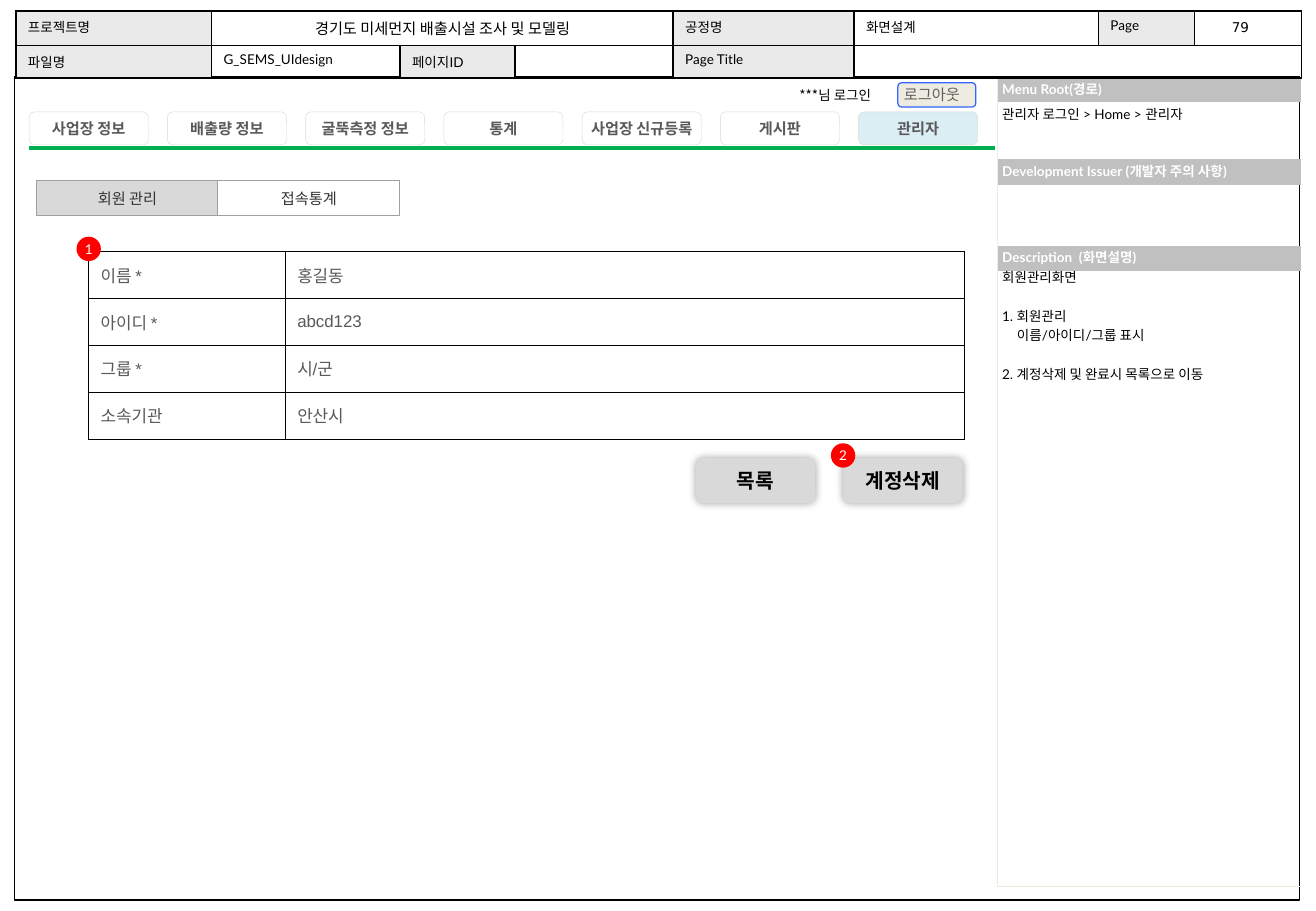
from lxml import etree
from pptx import Presentation
from pptx.dml.color import RGBColor
from pptx.enum.shapes import MSO_CONNECTOR, MSO_SHAPE
from pptx.enum.text import MSO_ANCHOR, PP_ALIGN
from pptx.oxml.ns import qn
from pptx.util import Cm, Pt

RECT, ROUND, OVAL = MSO_SHAPE.RECTANGLE, MSO_SHAPE.ROUNDED_RECTANGLE, MSO_SHAPE.OVAL
LEFT, MID = PP_ALIGN.LEFT, PP_ALIGN.CENTER
TOP, CENTER = MSO_ANCHOR.TOP, MSO_ANCHOR.MIDDLE

# Content
HEADER = [
    ["프로젝트명", "경기도 미세먼지 배출시설 조사 및 모델링", "", "", "공정명", "화면설계", "Page", ""],
    ["파일명", "G_SEMS_UIdesign", "페이지ID", "", "Page Title", "", "", ""],
]
LABELS = {"프로젝트명", "공정명", "Page", "파일명", "페이지ID", "Page Title"}
SIDE = ["Menu Root(경로)", "", "Development Issuer (개발자 주의 사항)", "",
        "Description  (화면설명)", ""]
MENU = ["사업장 정보", "배출량 정보", "굴뚝측정 정보", "통계", "사업장 신규등록", "게시판", "관리자"]
ACTIVE = "관리자"
TABS = [("회원 관리", "tab"), ("접속통계", "white")]
MEMBER = [["이름 *", "홍길동"], ["아이디 *", "abcd123"], ["그룹 *", "시/군"], ["소속기관", "안산시"]]
BUTTONS = ["목록", "계정삭제"]
BADGES = [("1", 1.6, 4.95), ("2", 17.37, 9.27)]
ROUTE = "관리자 로그인 > Home > 관리자"
# Text, left indent in cm, space before in points
NOTES = [("회원관리화면", 0, 0), ("1. 회원관리", 0, 11.5), ("이름/아이디/그룹 표시", 0.31, 0),
         ("2. 계정삭제 및 완료시 목록으로 이동", 0, 11.5)]

COLORS = {
    "black": "000000", "white": "FFFFFF", "label": "EAEAEA", "band": "C0C0C0",
    "cream": "EEECE1", "blue": "3366FF", "green": "00B050", "active": "DBEEF4",
    "tab": "D9D9D9", "edge": "A0A0A0", "text": "595959", "logout": "5F5F5F",
    "dark": "333333", "red": "FF0000",
}
NO_STYLE = "{2D5ABB26-0587-4C30-8999-92F81FD0307C}"

prs = Presentation()
prs.slide_width, prs.slide_height = Cm(27.51), Cm(19.05)
slide = prs.slides.add_slide(prs.slide_layouts[6])
shapes = slide.shapes


def color(name):
    return RGBColor.from_string(COLORS[name])


def paint(fill, name):
    if name:
        fill.solid()
        fill.fore_color.rgb = color(name)
    else:
        fill.background()


def style(para, size=8, ink="black", face="Lato", bold=False, align=LEFT, space=None):
    para.alignment = align
    if space:
        para.line_spacing = space
    font = para.font
    font.size, font.name, font.bold = Pt(size), face, bold
    font.color.rgb = color(ink)


def inset(frame, size):
    frame.margin_left = frame.margin_right = Cm(size)
    frame.margin_top = frame.margin_bottom = Cm(size)


def add_box(kind, box, fill=None, line=None, width=0.25, text="", pad=0.1, wrap=True, **look):
    shape = shapes.add_shape(kind, *map(Cm, box))
    shape.shadow.inherit = False
    paint(shape.fill, fill)
    paint(shape.line.fill, line)
    if line:
        shape.line.width = Pt(width)
    if text:
        frame = shape.text_frame
        inset(frame, pad)
        frame.word_wrap, frame.vertical_anchor = wrap, CENTER
        frame.text = text
        style(frame.paragraphs[0], **look)
    return shape


def add_text(box, lines, wrap=True, pad=0.1, **look):
    frame = shapes.add_textbox(*map(Cm, box)).text_frame
    frame.word_wrap = wrap
    if pad is not None:
        inset(frame, pad)
    for i, (text, indent, before) in enumerate(lines):
        para = frame.add_paragraph() if i else frame.paragraphs[0]
        para.text = text
        if indent:
            para._p.get_or_add_pPr().set("marL", str(Cm(indent)))
        if before:
            para.space_before = Pt(before)
        style(para, **look)


def add_edges(cell, sides, name, width):
    props = cell._tc.get_or_add_tcPr()
    for i, side in enumerate(sides):
        line = etree.Element(qn("a:ln" + side), w=str(Pt(width)))
        fill = etree.SubElement(line, qn("a:solidFill"))
        etree.SubElement(fill, qn("a:srgbClr"), val=COLORS[name])
        props.insert(i, line)


def add_table(left, top, cols, rows):
    table = shapes.add_table(len(rows), len(cols), Cm(left), Cm(top),
                             Cm(sum(cols)), Cm(sum(rows))).table
    table.first_row = table.horz_banding = False
    table._tbl.tblPr.find(qn("a:tableStyleId")).text = NO_STYLE
    for col, width in zip(table.columns, cols):
        col.width = Cm(width)
    for row, height in zip(table.rows, rows):
        row.height = Cm(height)
    return table


def fill_cell(cell, text, fill=None, anchor=TOP, **look):
    cell.text = text
    cell.vertical_anchor = anchor
    paint(cell.fill, fill)
    style(cell.text_frame.paragraphs[0], **look)


# Page frame
add_box(RECT, (0.3, 1.6, 26.87, 17.22), line="black", width=0.75)

# Side panel
side = add_table(20.85, 1.63, [6.35], [0.5, 1.19, 0.54, 1.28, 0.5, 12.87])
for r, text in enumerate(SIDE):
    cell = side.cell(r, 0)
    fill_cell(cell, text, "band" if text else None, CENTER, ink="white", bold=True,
              space=0.8 if r == 2 else 0.75)
    inset(cell, 0.1)
    add_edges(cell, "LB" if r == len(SIDE) - 1 else "L", "cream", 0.25)

# Header table
header = add_table(0.33, 0.23, [4.09, 3.94, 2.41, 3.3, 3.78, 5.11, 2.01, 2.24], [0.71, 0.69])
for r, row in enumerate(HEADER):
    for c, text in enumerate(row):
        cell = header.cell(r, c)
        main = (r, c) == (0, 1)
        fill_cell(cell, text, "label" if text in LABELS else None,
                  size=9 if main else 8, align=MID if main else LEFT)
        add_edges(cell, "LRTB", "black", 1)
header.cell(0, 1).merge(header.cell(0, 3))
header.cell(1, 5).merge(header.cell(1, 7))
add_text((25.65, 0.13, 0.69, 0.64), [("79", 0, 0)], wrap=False, face="DejaVu Sans", space=1.5)

# Login row
add_text((16.46, 1.7, 2.11, 0.61), [("***님 로그인", 0, 0)], wrap=False, pad=None,
         face="Noto Sans CJK KR")
add_box(ROUND, (18.77, 1.73, 1.63, 0.51), "cream", "blue", 0.75, "로그아웃",
        size=9, face="Cabin", ink="logout")

# Main menu
rule = shapes.add_connector(MSO_CONNECTOR.STRAIGHT, Cm(0.61), Cm(3.1), Cm(20.8), Cm(3.1))
rule.line.color.rgb, rule.line.width = color("green"), Pt(2.5)
etree.SubElement(rule._element.spPr, qn("a:effectLst"))
for i, text in enumerate(MENU):
    add_box(ROUND, (0.61 + 2.89 * i, 2.34, 2.49, 0.69), "active" if text == ACTIVE else None,
            "tab", text=text, wrap=False, size=9, ink="text", bold=True, align=MID)

# Sub tabs
for i, (text, fill) in enumerate(TABS):
    add_box(RECT, (0.76 + 3.79 * i, 3.77, 3.81, 0.74), fill, "edge", 0.5, text, pad=0,
            size=9, face="Cabin", ink="dark", align=MID)

# Member table
member = add_table(1.85, 5.26, [4.11, 14.2], [0.98] * len(MEMBER))
for r, row in enumerate(MEMBER):
    for c, text in enumerate(row):
        cell = member.cell(r, c)
        fill_cell(cell, text, anchor=CENTER, size=10, face="Arial", ink="text")
        add_edges(cell, "LRTB", "black", 0.25)

# Buttons with a soft glow
for i, text in enumerate(BUTTONS):
    button = add_box(ROUND, (14.55 + 3.08 * i, 9.58, 2.49, 0.94), "tab", "tab", text=text,
                     size=12, bold=True, align=MID)
    effect = button._element.spPr.find(qn("a:effectLst"))
    glow = etree.SubElement(effect, qn("a:outerShdw"), blurRad=str(Pt(5)), dist="0", dir="0")
    tone = etree.SubElement(glow, qn("a:srgbClr"), val=COLORS["black"])
    etree.SubElement(tone, qn("a:alpha"), val="36000")

# Side notes
add_text((20.85, 2.06, 6.3, 0.58), [(ROUTE, 0, 0)], space=1.2)
add_text((20.85, 5.46, 6.3, 3.05), NOTES, space=1.2)

# Number badges
for text, left, top in BADGES:
    add_box(OVAL, (left, top, 0.51, 0.51), "red", text=text, ink="white", align=MID)

prs.save("out.pptx")
